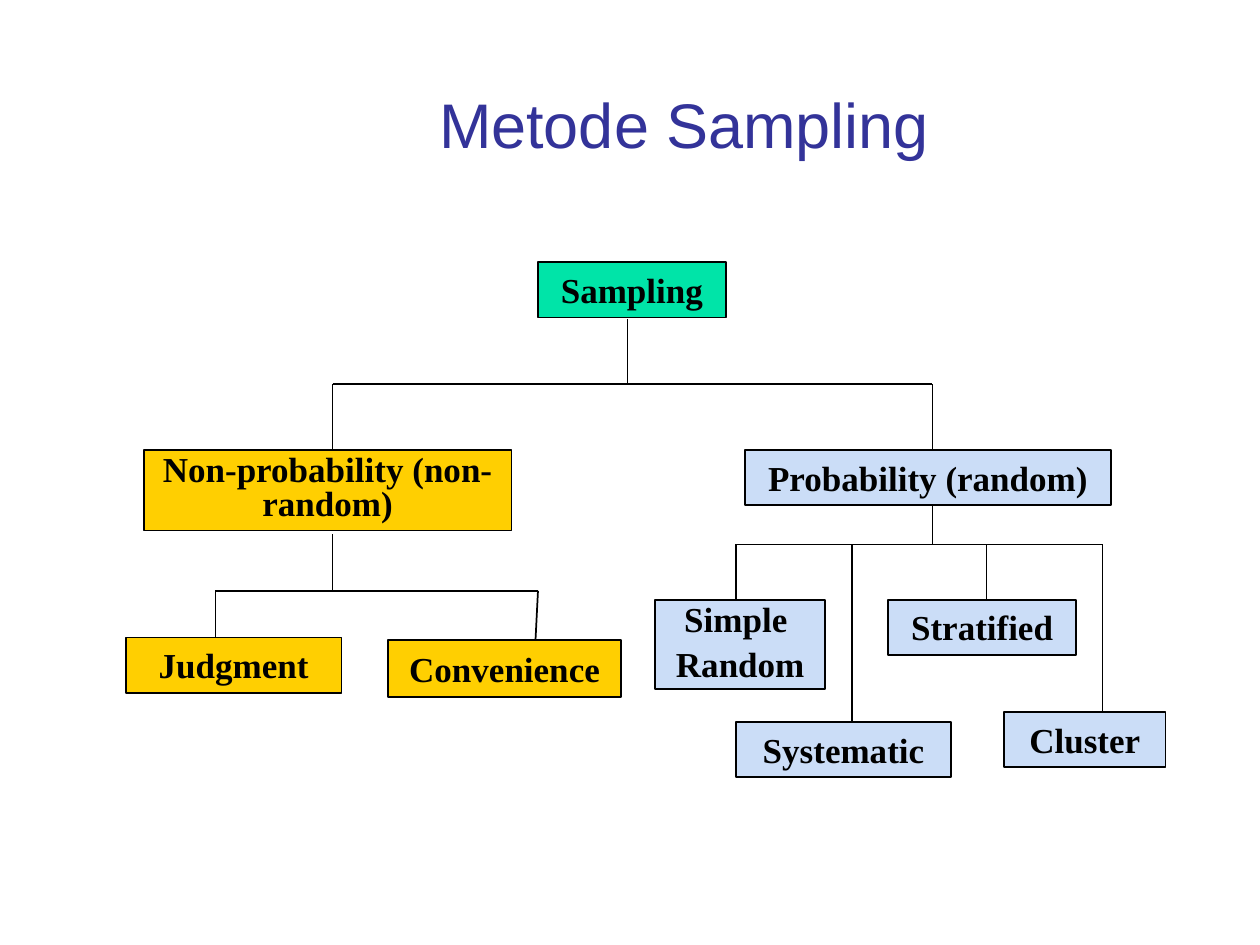
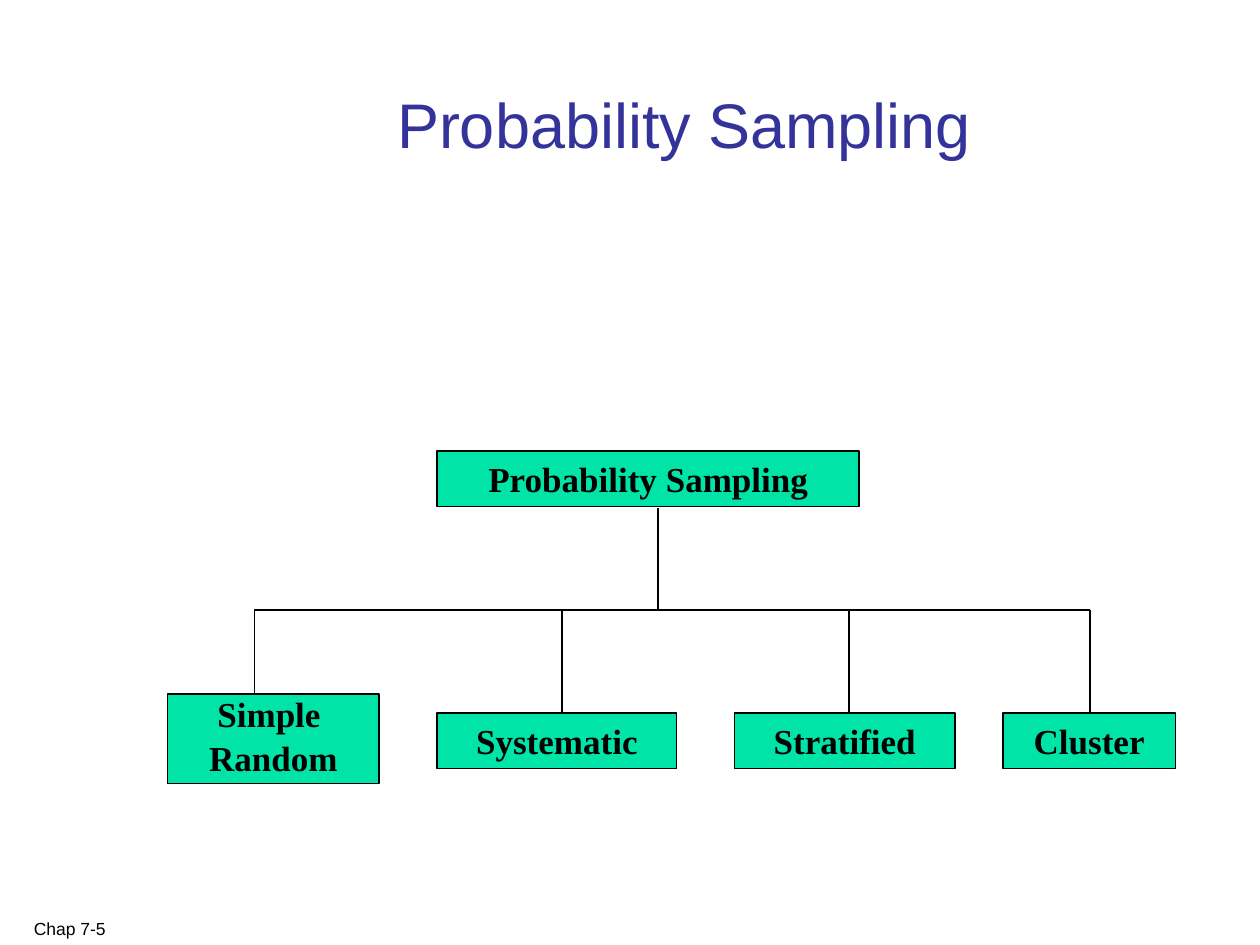
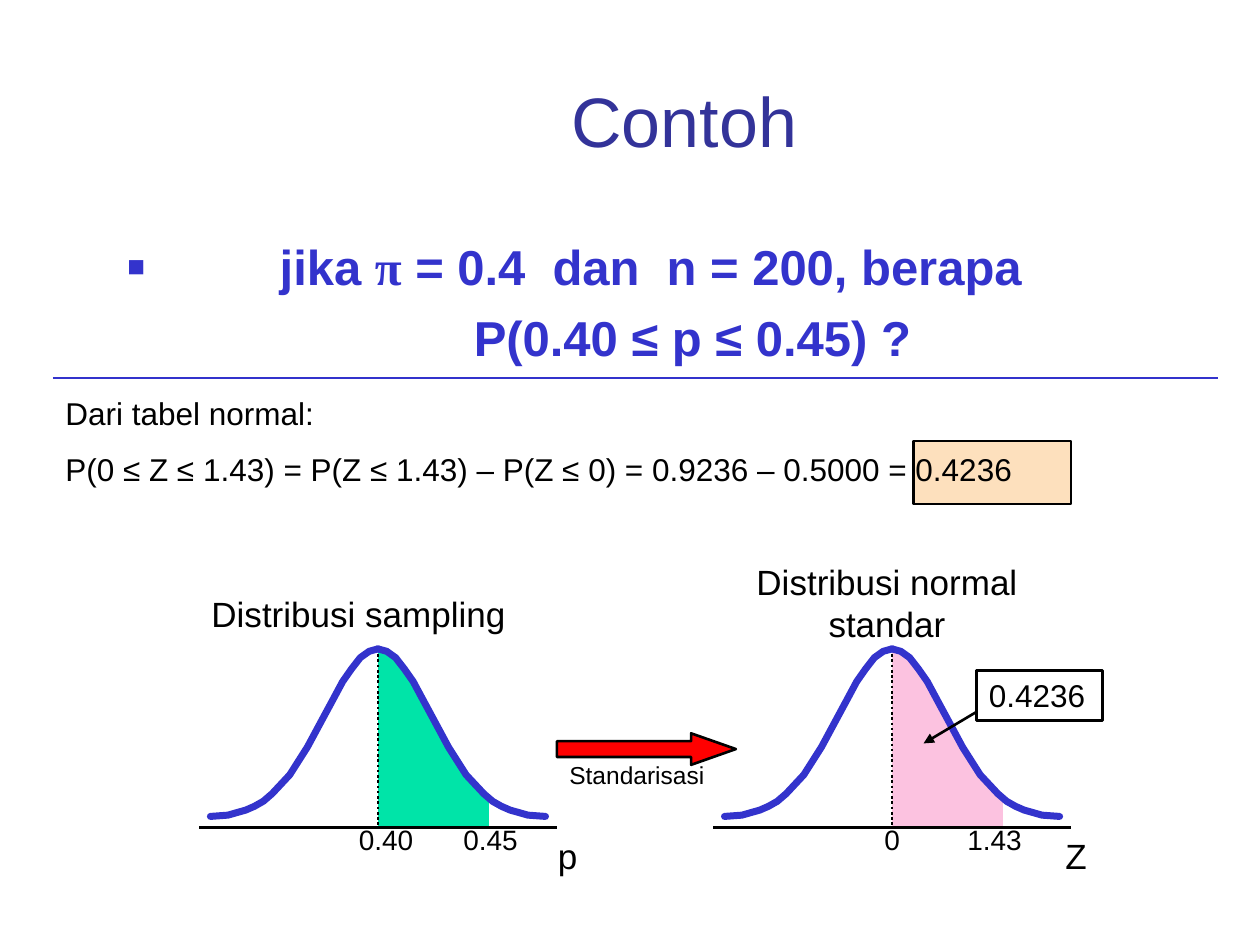
"""Builds three slides on sampling methods and a worked normal-table example."""
from dataclasses import dataclass

from lxml import etree
from pptx import Presentation
from pptx.dml.color import RGBColor
from pptx.enum import dml, shapes, text
from pptx.oxml import ns
from pptx.util import Inches, Pt


@dataclass(frozen=True)
class Theme:
    """Colours, fonts and type sizes shared by the slides."""
    title: str = "333399"
    accent: str = "3333CC"
    ink: str = "000000"
    green: str = "00E4A8"
    yellow: str = "FFCF01"
    blue: str = "CBDDF7"
    pink: str = "FCC2E0"
    peach: str = "FDE0BD"
    red: str = "FF0000"
    sans: str = "Arial"
    serif: str = "Times New Roman"
    title_size: int = 36
    body_size: int = 28
    large: int = 20
    medium: int = 18
    small: int = 16
    caption: int = 14
    footer: int = 10


T = Theme()
CENTER = text.PP_ALIGN.CENTER
LEFT = text.PP_ALIGN.LEFT
HALF_BELL = [(0, 0), (0.07, 0.02), (0.14, 0.07), (0.21, 0.16), (0.28, 0.26),
             (0.35, 0.39), (0.42, 0.52), (0.56, 0.78), (0.7, 1), (0.84, 1.15),
             (0.91, 1.21), (0.98, 1.25), (1.05, 1.28), (1.12, 1.3),
             (1.19, 1.32), (1.33, 1.33)]
PEAK_Y, AXIS_Y, SHADE_WIDTH = 5.15, 6.57, 0.88


def rgb(color):
    """Turn a hex string into a colour."""
    return RGBColor.from_string(color)


def inches(values):
    """Turn numbers into lengths in inches."""
    return [Inches(v) for v in values]


def add_run(p, words, size, color=T.ink, font=T.sans, bold=False):
    """Add one formatted run to a paragraph."""
    r = p.add_run()
    r.text = words
    r.font.size, r.font.name, r.font.bold = Pt(size), font, bold
    r.font.color.rgb = rgb(color)


def set_frame(tf, anchor=text.MSO_ANCHOR.TOP, wrap=True):
    """Set wrapping, anchor and fixed size of a text frame."""
    tf.word_wrap = wrap
    tf.auto_size = text.MSO_AUTO_SIZE.NONE
    tf.vertical_anchor = anchor


def fill_text(tf, lines, size, align=LEFT, gap=0, spacing=(), **style):
    """Write lines as paragraphs with a gap between them."""
    for i, line in enumerate(lines):
        p = tf.add_paragraph() if i else tf.paragraphs[0]
        p.alignment = align
        if i:
            p.space_before = Pt(gap)
        if spacing:
            p.line_spacing = spacing[i]
        add_run(p, line, size, **style)


def add_label(slide, box, lines, size, align=LEFT, gap=0,
              anchor=text.MSO_ANCHOR.TOP):
    """Add a plain text box."""
    tf = slide.shapes.add_textbox(*inches(box)).text_frame
    set_frame(tf, anchor)
    fill_text(tf, lines, size, align, gap)


def paint(sp, fill=None, line=None, width=1.0):
    """Set fill and outline and drop the shadow."""
    sp.shadow.inherit = False
    if fill:
        sp.fill.solid()
        sp.fill.fore_color.rgb = rgb(fill)
    else:
        sp.fill.background()
    if line:
        sp.line.color.rgb = rgb(line)
        sp.line.width = Pt(width)
    else:
        sp.line.fill.background()


def add_box(slide, box, fill=None, width=1.0, kind=shapes.MSO_SHAPE.RECTANGLE):
    """Add an outlined preset shape."""
    sp = slide.shapes.add_shape(kind, *inches(box))
    paint(sp, fill, T.ink, width)
    return sp


def add_node(slide, box, fill, *lines, spacing=(), anchor=text.MSO_ANCHOR.TOP,
             wrap=True):
    """Add a labelled box of a tree."""
    tf = add_box(slide, box, fill).text_frame
    set_frame(tf, anchor, wrap)
    fill_text(tf, lines, T.large, CENTER, 12, spacing, font=T.serif, bold=True)


def add_line(slide, start, end, width=1.0, color=T.ink, dash=None, arrow=False):
    """Add a straight line, dotted or with an arrowhead if asked."""
    cx = slide.shapes.add_connector(shapes.MSO_CONNECTOR.STRAIGHT,
                                    *inches((*start, *end)))
    cx.line.color.rgb = rgb(color)
    cx.line.width = Pt(width)
    if dash:
        cx.line.dash_style = dash
    sp_pr = cx._element.spPr
    if arrow:
        etree.SubElement(sp_pr.find(ns.qn("a:ln")), ns.qn("a:tailEnd"),
                         type="triangle")
    etree.SubElement(sp_pr, ns.qn("a:effectLst"))


def add_branches(slide, trunk, bar_y, drops, bar_width=1.0):
    """Join a trunk to its drops, given as x, foot y and optional lean."""
    add_line(slide, trunk, (trunk[0], bar_y))
    add_line(slide, (drops[0][0], bar_y), (drops[-1][0], bar_y), bar_width)
    for x, foot, *lean in drops:
        add_line(slide, (x, bar_y), (x + sum(lean), foot))


def add_outline(slide, points, closed):
    """Build a freeform through points."""
    first, *rest = [inches(pt) for pt in points]
    builder = slide.shapes.build_freeform(*first)
    builder.add_line_segments(rest, close=closed)
    return builder.convert_to_shape()


def add_bell(slide, peak_x, fill):
    """Draw a bell curve with its axis and the shaded part right of the mean."""
    edge = [pt for pt in HALF_BELL if pt[0] < SHADE_WIDTH]
    depth = AXIS_Y - PEAK_Y
    edge += [(SHADE_WIDTH, 1.18), (SHADE_WIDTH, depth), (0, depth)]
    area = add_outline(slide, [(peak_x + x, PEAK_Y + y) for x, y in edge], True)
    paint(area, fill)
    add_line(slide, (peak_x, PEAK_Y), (peak_x, AXIS_Y), 1.5,
             dash=dml.MSO_LINE.ROUND_DOT)
    for side in (1, -1):
        points = [(peak_x + side * x, PEAK_Y + y) for x, y in HALF_BELL]
        curve = add_outline(slide, points, False)
        paint(curve, None, T.accent, 4)
        ln = curve._element.spPr.find(ns.qn("a:ln"))
        ln.set("cap", "rnd")
        etree.SubElement(ln, ns.qn("a:round"))
    add_line(slide, (peak_x - 1.42, AXIS_Y), (peak_x + 1.42, AXIS_Y), 1.5)


def set_bullet(p, left, hanging=0, char=None):
    """Set the indent and the bullet of a paragraph."""
    p_pr = p._p.get_or_add_pPr()
    p_pr.set("marL", str(Inches(left)))
    p_pr.set("indent", str(-Inches(hanging)))
    if not char:
        etree.SubElement(p_pr, ns.qn("a:buNone"))
        return
    color = etree.SubElement(p_pr, ns.qn("a:buClr"))
    etree.SubElement(color, ns.qn("a:srgbClr"), val=T.accent)
    etree.SubElement(p_pr, ns.qn("a:buSzPct"), val="60000")
    etree.SubElement(p_pr, ns.qn("a:buFont"), typeface=T.sans)
    etree.SubElement(p_pr, ns.qn("a:buChar"), char=char)


def place(sp, box):
    """Move a placeholder and set its side margins."""
    sp.left, sp.top, sp.width, sp.height = inches(box)
    sp.text_frame.margin_left = sp.text_frame.margin_right = Inches(0.09)


def add_slide(prs, layout, title, size=T.title_size):
    """Add a slide with the shared title style."""
    slide = prs.slides.add_slide(prs.slide_layouts[layout])
    sp = slide.shapes.title
    place(sp, (1.17, 0.25, 8.52, 1.08))
    set_frame(sp.text_frame, text.MSO_ANCHOR.BOTTOM)
    fill_text(sp.text_frame, [title], size, CENTER, color=T.title)
    return slide


def methods_slide(prs):
    """Show the tree of sampling methods."""
    slide = add_slide(prs, 5, "Metode Sampling")
    add_branches(slide, (4.98, 2.53), 3.05, [(2.64, 3.65), (7.4, 3.57)])
    add_branches(slide, (2.64, 4.24), 4.69,
                 [(1.71, 5.06), (4.27, 5.08, -0.02)], 0.75)
    add_branches(slide, (7.4, 3.87), 4.32,
                 [(5.84, 4.76), (6.76, 5.73), (7.83, 4.76), (8.75, 5.65)], 0.75)
    add_node(slide, (4.27, 2.08, 1.49, 0.44), T.green, "Sampling")
    add_node(slide, (1.14, 3.57, 2.92, 0.64), T.yellow,
             "Non-probability (non-random)", spacing=(0.8,))
    add_node(slide, (1, 5.06, 1.71, 0.44), T.yellow, "Judgment")
    add_node(slide, (3.08, 5.08, 1.85, 0.45), T.yellow, "Convenience",
             anchor=text.MSO_ANCHOR.MIDDLE, wrap=False)
    add_node(slide, (5.91, 3.57, 2.91, 0.44), T.blue, "Probability (random)")
    add_node(slide, (5.2, 4.76, 1.35, 0.71), T.blue, "Simple ", "Random",
             spacing=(0.8, 0.5))
    add_node(slide, (5.84, 5.73, 1.71, 0.44), T.blue, "Systematic")
    add_node(slide, (7.05, 4.76, 1.49, 0.44), T.blue, "Stratified")
    add_node(slide, (7.97, 5.65, 1.28, 0.44), T.blue, "Cluster")


def probability_slide(prs):
    """Show the four kinds of probability sampling."""
    slide = add_slide(prs, 5, "Probability Sampling")
    add_label(slide, (0.17, 7.15, 5.08, 0.35), ["Chap 7-5"], T.footer,
              anchor=text.MSO_ANCHOR.BOTTOM)
    add_branches(slide, (5.22, 4.03), 4.84,
                 [(2.02, 5.52), (4.46, 5.66), (6.74, 5.66), (8.65, 5.66)])
    add_node(slide, (3.47, 3.58, 3.35, 0.44), T.green, "Probability Sampling")
    add_node(slide, (1.33, 5.51, 1.68, 0.71), T.green, "Simple ", "Random",
             spacing=(0.8, 0.5))
    for name, left, width in [("Systematic", 3.47, 1.9),
                              ("Stratified", 5.83, 1.75),
                              ("Cluster", 7.96, 1.37)]:
        add_node(slide, (left, 5.66, width, 0.44), T.green, name)


def add_question(slide):
    """Write the question in the body placeholder."""
    body = slide.placeholders[1]
    place(body, (0.92, 1.83, 8.83, 1.74))
    tf = body.text_frame
    set_frame(tf)
    p = tf.paragraphs[0]
    set_bullet(p, 1.21, 1.21, "■")
    p.space_before = Pt(0)
    for words, font in [("jika ", T.sans), ("π", T.serif),
                        (" = 0.4  dan  n = 200, berapa", T.sans)]:
        add_run(p, words, T.body_size, T.accent, font, True)
    p = tf.add_paragraph()
    set_bullet(p, 2.75)
    p.space_before = Pt(7)
    add_run(p, "P(0.40 ≤ p ≤ 0.45) ?", T.body_size, T.accent, bold=True)


def example_slide(prs):
    """Show the example with both distributions."""
    slide = add_slide(prs, 1, "Contoh", 40)
    add_question(slide)
    add_line(slide, (0.42, 3), (9.67, 3), 1.5, T.accent)
    add_box(slide, (7.25, 3.5, 1.25, 0.5), T.peach, 1.5)
    add_label(slide, (0.42, 3.08, 9.08, 0.86),
              ["Dari tabel normal:",
               "P(0 ≤ Z ≤ 1.43) = P(Z ≤ 1.43) – P(Z ≤ 0) = 0.9236 – 0.5000 = 0.4236"],
              T.medium, gap=10)
    add_bell(slide, 3, T.green)
    add_bell(slide, 7.08, T.pink)
    arrow = add_box(slide, (4.42, 5.82, 1.42, 0.25), T.red, 1.5,
                    shapes.MSO_SHAPE.RIGHT_ARROW)
    arrow.adjustments[1] = 1.42
    result = add_box(slide, (7.75, 5.32, 1, 0.4), width=1.5).text_frame
    set_frame(result)
    fill_text(result, ["0.4236"], T.medium)
    add_line(slide, (7.75, 5.65), (7.33, 5.9), 1.5, arrow=True)
    for words, left, width in [("0.40", 2.75, 0.75), ("0.45", 3.58, 0.75),
                               ("0", 6.92, 0.42), ("1.43", 7.58, 0.75)]:
        add_label(slide, (left, 6.48, width, 0.37), [words], T.small)
    add_label(slide, (4.33, 6.57, 0.67, 0.43), ["p"], T.large)
    add_label(slide, (8.33, 6.57, 0.42, 0.43), ["Z"], T.large, CENTER)
    add_label(slide, (4.42, 5.98, 1.42, 0.34), ["Standarisasi"], T.caption)
    add_label(slide, (1.58, 4.65, 3, 0.43), ["Distribusi sampling"], T.large)
    add_label(slide, (5.44, 4.4, 3.2, 0.77), ["Distribusi normal standar"],
              T.large, CENTER)


def main():
    """Build and save the presentation."""
    prs = Presentation()
    prs.slide_width, prs.slide_height = inches((10, 7.5))
    methods_slide(prs)
    probability_slide(prs)
    example_slide(prs)
    prs.save("out.pptx")


if __name__ == "__main__":
    main()
